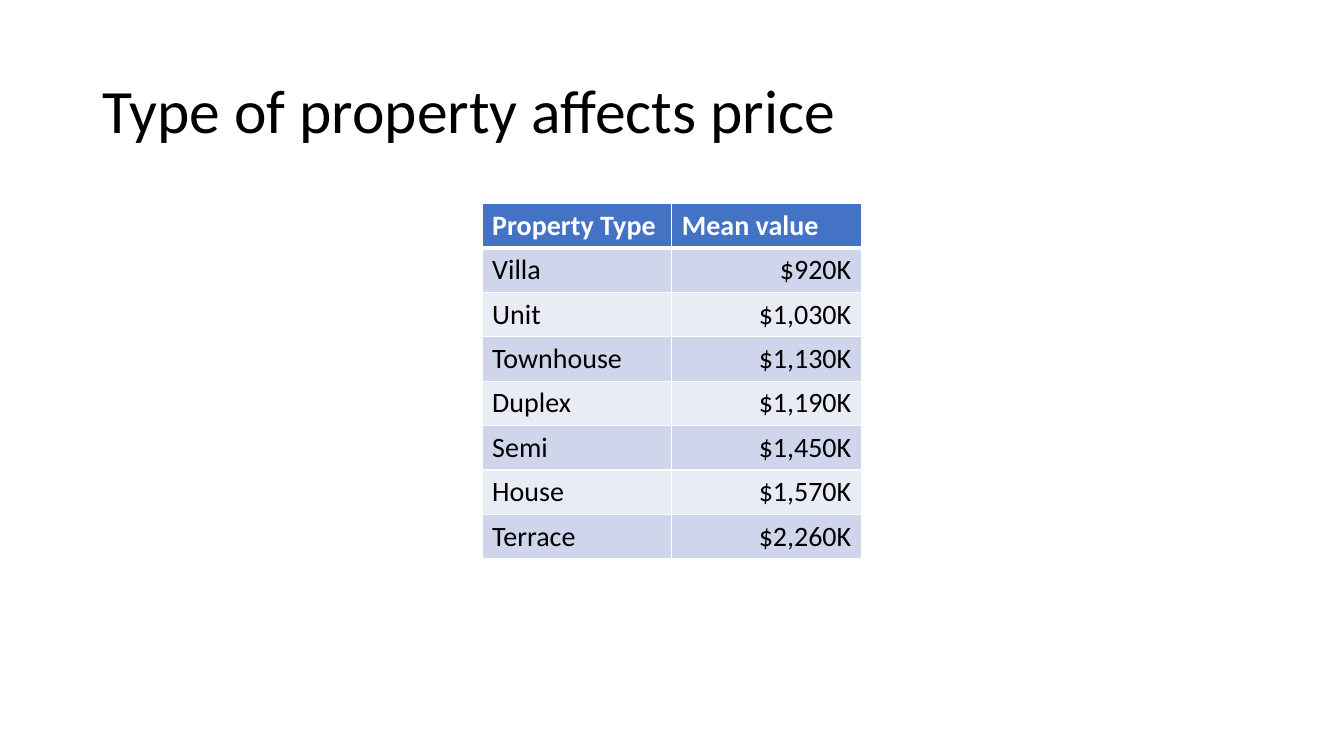
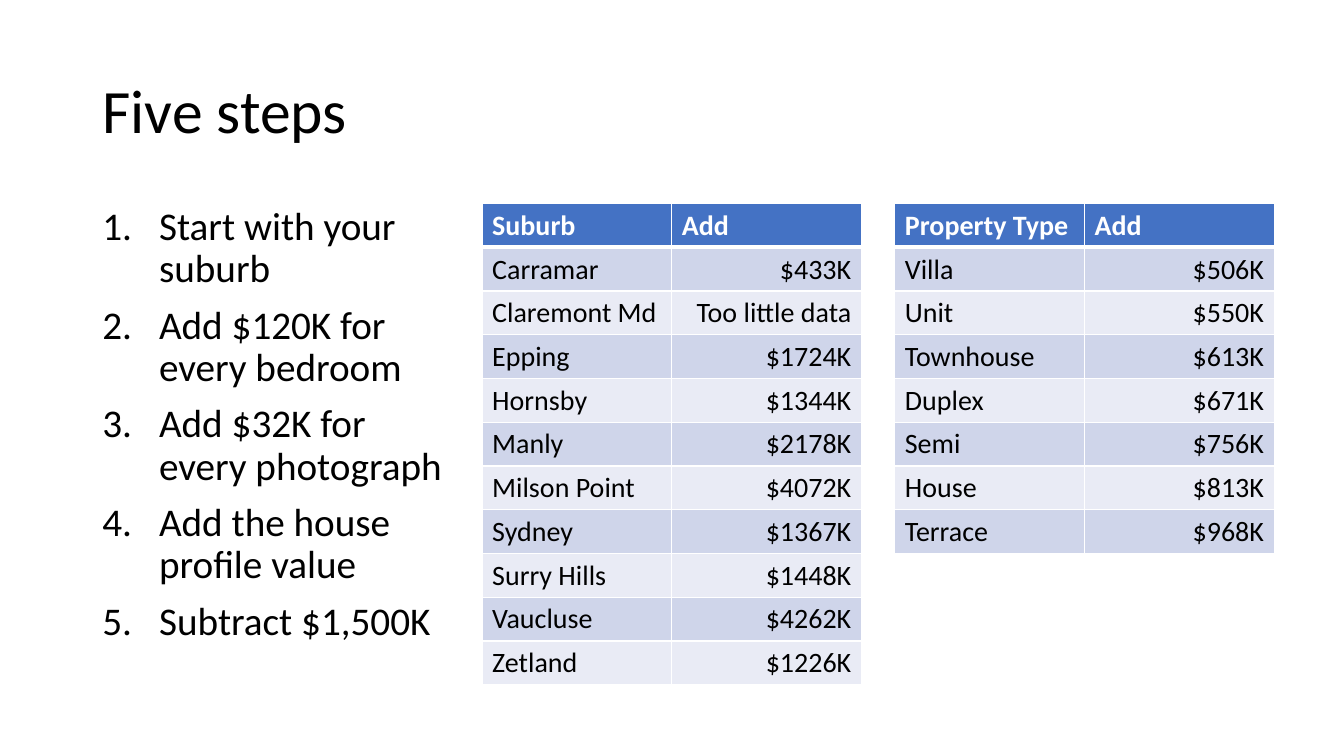
from pptx import Presentation
from pptx.dml.color import RGBColor
from pptx.enum.text import MSO_ANCHOR, MSO_AUTO_SIZE, PP_ALIGN
from pptx.oxml.ns import qn
from pptx.util import Cm, Pt
from lxml import etree

LEFT, RIGHT = PP_ALIGN.LEFT, PP_ALIGN.RIGHT
TOP, MIDDLE = MSO_ANCHOR.TOP, MSO_ANCHOR.MIDDLE
NO_FIT = MSO_AUTO_SIZE.NONE

COLORS = {
    "text": "000000",
    "white": "FFFFFF",
    "header": "4472C4",
    "odd_row": "CFD5EA",
    "even_row": "E9EBF5",
}
FONT = "Calibri"
TITLE_ONLY = 5

TITLE_BOX = (2.33, 1.01, 29.21, 3.68)
STEPS_BOX = (2.33, 5.08, 9.32, 12.09)
TABLE_TOP = 5.13
MIDDLE_TABLE_LEFT = 12.15
RIGHT_TABLE_LEFT = 22.55
COLUMN_WIDTH = 4.78
ROW_HEIGHT = 1.1
NUMBER_INDENT = 1.43
THIN, THICK = 1, 3

MEAN_VALUES = [
    ("Property Type", "Mean value"),
    ("Villa", "$920K"),
    ("Unit", "$1,030K"),
    ("Townhouse", "$1,130K"),
    ("Duplex", "$1,190K"),
    ("Semi", "$1,450K"),
    ("House", "$1,570K"),
    ("Terrace", "$2,260K"),
]
STEPS = [
    "Start with your suburb",
    "Add $120K for every bedroom",
    "Add $32K for every photograph",
    "Add the house profile value",
    "Subtract $1,500K",
]
SUBURB_ADDITIONS = [
    ("Suburb", "Add"),
    ("Carramar", "$433K"),
    ("Claremont Md", "Too little data"),
    ("Epping", "$1724K"),
    ("Hornsby", "$1344K"),
    ("Manly", "$2178K"),
    ("Milson Point", "$4072K"),
    ("Sydney", "$1367K"),
    ("Surry Hills", "$1448K"),
    ("Vaucluse", "$4262K"),
    ("Zetland", "$1226K"),
]
PROPERTY_ADDITIONS = [
    ("Property Type", "Add"),
    ("Villa", "$506K"),
    ("Unit", "$550K"),
    ("Townhouse", "$613K"),
    ("Duplex", "$671K"),
    ("Semi", "$756K"),
    ("House", "$813K"),
    ("Terrace", "$968K"),
]


def format_font(paragraph, size, color="text", bold=False):
    for run in paragraph.runs:
        run.font.name = FONT
        run.font.size = Pt(size)
        run.font.bold = bold
        run.font.color.rgb = RGBColor.from_string(COLORS[color])


def add_titled_slide(presentation, title):
    slide = presentation.slides.add_slide(presentation.slide_layouts[TITLE_ONLY])
    shape = slide.shapes.title
    shape.left, shape.top, shape.width, shape.height = map(Cm, TITLE_BOX)
    text_frame = shape.text_frame
    text_frame.text = title
    text_frame.auto_size = NO_FIT
    text_frame.vertical_anchor = MIDDLE
    paragraph = text_frame.paragraphs[0]
    paragraph.alignment = LEFT
    paragraph.line_spacing = 0.9
    format_font(paragraph, 44)
    return slide


def add_numbered_list(slide, box, items):
    text_frame = slide.shapes.add_textbox(*map(Cm, box)).text_frame
    text_frame.word_wrap = True
    text_frame.vertical_anchor = TOP
    text_frame.text = "\n".join(items)
    for index, paragraph in enumerate(text_frame.paragraphs):
        properties = paragraph._p.get_or_add_pPr()
        properties.set("marL", str(Cm(NUMBER_INDENT)))
        properties.set("indent", str(-Cm(NUMBER_INDENT)))
        etree.SubElement(properties, qn("a:buFont"), typeface="+mj-lt")
        etree.SubElement(properties, qn("a:buAutoNum"), type="arabicPeriod")
        paragraph.line_spacing = 0.9
        paragraph.space_before = Pt(10 if index else 0)
        format_font(paragraph, 28)


def set_borders(cell, top, bottom):
    properties = cell._tc.get_or_add_tcPr()
    widths = {"a:lnL": THIN, "a:lnR": THIN, "a:lnT": top, "a:lnB": bottom}
    for tag, width in widths.items():
        line = etree.SubElement(properties, qn(tag), w=str(Pt(width)))
        fill = etree.SubElement(line, qn("a:solidFill"))
        etree.SubElement(fill, qn("a:srgbClr"), val=COLORS["white"])


def format_cell(cell, text, row, column):
    is_header = row == 0
    set_borders(cell, THICK if row == 1 else THIN, THICK if is_header else THIN)
    fill_name = "header" if is_header else ("even_row", "odd_row")[row % 2]
    cell.fill.solid()
    cell.fill.fore_color.rgb = RGBColor.from_string(COLORS[fill_name])
    cell.text_frame.text = text
    paragraph = cell.text_frame.paragraphs[0]
    paragraph.alignment = RIGHT if column and not is_header else LEFT
    format_font(paragraph, 20, "white" if is_header else "text", is_header)


def add_price_table(slide, left, top, records):
    column_count = len(records[0])
    table = slide.shapes.add_table(
        len(records), column_count, Cm(left), Cm(top),
        Cm(COLUMN_WIDTH * column_count), Cm(ROW_HEIGHT * len(records)),
    ).table
    table.horz_banding = False
    for row, record in enumerate(records):
        for column, text in enumerate(record):
            format_cell(table.cell(row, column), text, row, column)


def add_property_type_slide(presentation):
    slide = add_titled_slide(presentation, "Type of property affects price")
    add_price_table(slide, MIDDLE_TABLE_LEFT, TABLE_TOP, MEAN_VALUES)


def add_steps_slide(presentation):
    slide = add_titled_slide(presentation, "Five steps")
    add_numbered_list(slide, STEPS_BOX, STEPS)
    add_price_table(slide, MIDDLE_TABLE_LEFT, TABLE_TOP, SUBURB_ADDITIONS)
    add_price_table(slide, RIGHT_TABLE_LEFT, TABLE_TOP, PROPERTY_ADDITIONS)


def main():
    presentation = Presentation()
    presentation.slide_width = Cm(33.87)
    presentation.slide_height = Cm(19.05)
    add_property_type_slide(presentation)
    add_steps_slide(presentation)
    presentation.save("out.pptx")


if __name__ == "__main__":
    main()
